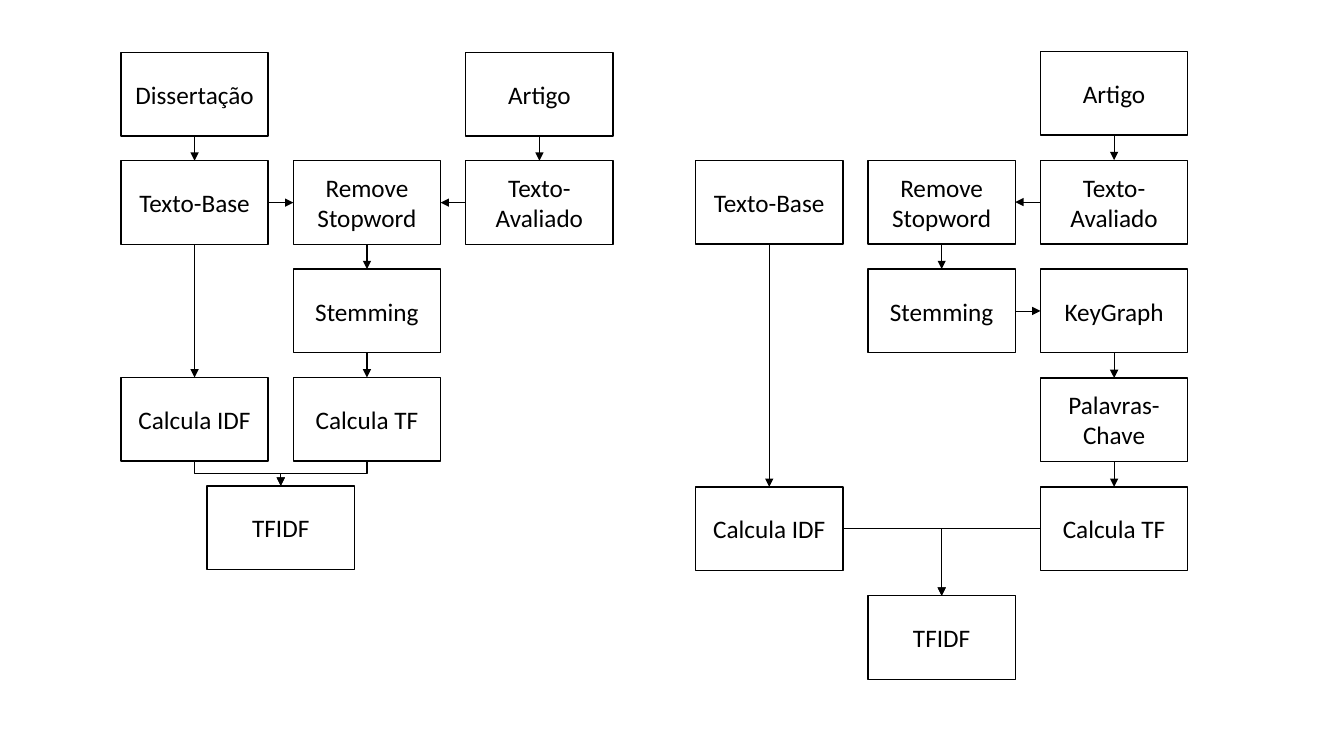
from pptx import Presentation
from pptx.dml.color import RGBColor
from pptx.enum.shapes import MSO_CONNECTOR, MSO_SHAPE
from pptx.enum.text import MSO_ANCHOR, PP_ALIGN
from pptx.oxml.ns import qn
from pptx.util import Inches, Pt
from lxml.etree import SubElement

BLACK = RGBColor(0x00, 0x00, 0x00)
WHITE = RGBColor(0xFF, 0xFF, 0xFF)

# Column pitch and box size shared by both flows
COL = 1.71
BOX_W, BOX_H = 1.46, 0.83
THIN, NORMAL = 0.5, 1

# Connection sites of a rectangle
TOP, LEFT, BOTTOM, RIGHT = range(4)
ROUTES = {
    "down": (BOTTOM, TOP),
    "right": (RIGHT, LEFT),
    "left": (LEFT, RIGHT),
    "down merge": (BOTTOM, TOP),
    "right merge": (RIGHT, TOP),
    "left merge": (LEFT, TOP),
}

# Steps: text -> (column, row); links: from, to, route, width
BASE_STEPS = {
    "Dissertação": (0, 0), "Artigo": (2, 0),
    "Texto-Base": (0, 1), "Remove Stopword": (1, 1), "Texto-Avaliado": (2, 1),
    "Stemming": (1, 2),
    "Calcula IDF": (0, 3), "Calcula TF": (1, 3),
    "TFIDF": (0.5, 4),
}
BASE_LINKS = [
    ("Dissertação", "Texto-Base", "down", THIN),
    ("Artigo", "Texto-Avaliado", "down", THIN),
    ("Texto-Base", "Remove Stopword", "right", NORMAL),
    ("Texto-Avaliado", "Remove Stopword", "left", THIN),
    ("Remove Stopword", "Stemming", "down", NORMAL),
    ("Stemming", "Calcula TF", "down", NORMAL),
    ("Texto-Base", "Calcula IDF", "down", NORMAL),
    ("Calcula IDF", "TFIDF", "down merge", NORMAL),
    ("Calcula TF", "TFIDF", "down merge", NORMAL),
]
KEYGRAPH_STEPS = {
    "Artigo": (2, 0),
    "Texto-Base": (0, 1), "Remove Stopword": (1, 1), "Texto-Avaliado": (2, 1),
    "Stemming": (1, 2), "KeyGraph": (2, 2),
    "Palavras-Chave": (2, 3),
    "Calcula IDF": (0, 4), "Calcula TF": (2, 4),
    "TFIDF": (1, 5),
}
KEYGRAPH_LINKS = [
    ("Artigo", "Texto-Avaliado", "down", THIN),
    ("Texto-Avaliado", "Remove Stopword", "left", THIN),
    ("Remove Stopword", "Stemming", "down", NORMAL),
    ("Stemming", "KeyGraph", "right", THIN),
    ("KeyGraph", "Palavras-Chave", "down", THIN),
    ("Palavras-Chave", "Calcula TF", "down", THIN),
    ("Texto-Base", "Calcula IDF", "down", NORMAL),
    ("Calcula IDF", "TFIDF", "right merge", THIN),
    ("Calcula TF", "TFIDF", "left merge", THIN),
]


def add_step(slide, text, left, top):
    s = slide.shapes.add_shape(MSO_SHAPE.RECTANGLE, Inches(left), Inches(top),
                               Inches(BOX_W), Inches(BOX_H))
    s.shadow.inherit = False
    s.fill.solid()
    s.fill.fore_color.rgb = WHITE
    s.line.color.rgb = BLACK
    s.line.width = Pt(1)
    tf = s.text_frame
    tf.word_wrap = True
    tf.vertical_anchor = MSO_ANCHOR.MIDDLE
    p = tf.paragraphs[0]
    p.alignment = PP_ALIGN.CENTER
    r = p.add_run()
    r.text = text
    r.font.name = "Calibri"
    r.font.size = Pt(18)
    r.font.color.rgb = BLACK
    return s


def turn_downwards(link):
    """Make a three-part elbow leave and arrive vertically."""
    dx, dy = link.end_x - link.begin_x, link.end_y - link.begin_y
    mid_x = (link.begin_x + link.end_x) // 2
    mid_y = (link.begin_y + link.end_y) // 2
    xfrm = link._element.spPr.find(qn("a:xfrm"))
    xfrm.set("rot", str((270 if dx > 0 else 90) * 60000))
    xfrm.set("flipH", "1" if dx > 0 else "0")
    link.width, link.height = dy, abs(dx)
    link.left, link.top = mid_x - dy // 2, mid_y - abs(dx) // 2


def add_link(slide, start, end, route, width):
    merges = route.endswith("merge")
    kind = MSO_CONNECTOR.ELBOW if merges else MSO_CONNECTOR.STRAIGHT
    link = slide.shapes.add_connector(kind, 0, 0, 0, 0)
    start_site, end_site = ROUTES[route]
    link.begin_connect(start, start_site)
    link.end_connect(end, end_site)
    link.line.color.rgb = BLACK
    link.line.width = Pt(width)

    # Bend, arrowhead and no shadow
    sp_pr = link._element.spPr
    if route == "down merge":
        turn_downwards(link)
    elif merges:
        sp_pr.find(qn("a:prstGeom")).set("prst", "bentConnector2")
    SubElement(sp_pr.find(qn("a:ln")), qn("a:tailEnd"), type="triangle")
    SubElement(sp_pr, qn("a:effectLst"))


def add_flow(slide, left, top, height, steps, links):
    """Spread the rows evenly, the last one starting at top + height."""
    row_pitch = height / max(row for _, row in steps.values())
    boxes = {text: add_step(slide, text, left + col * COL, top + row * row_pitch)
             for text, (col, row) in steps.items()}
    for start, end, route, width in links:
        add_link(slide, boxes[start], boxes[end], route, width)


def main():
    prs = Presentation()
    prs.slide_width, prs.slide_height = Inches(13.33), Inches(7.5)
    slide = prs.slides.add_slide(prs.slide_layouts[6])
    add_flow(slide, 1.2, 0.52, 4.3, BASE_STEPS, BASE_LINKS)
    add_flow(slide, 6.9, 0.51, 5.4, KEYGRAPH_STEPS, KEYGRAPH_LINKS)
    prs.save("out.pptx")


if __name__ == "__main__":
    main()
